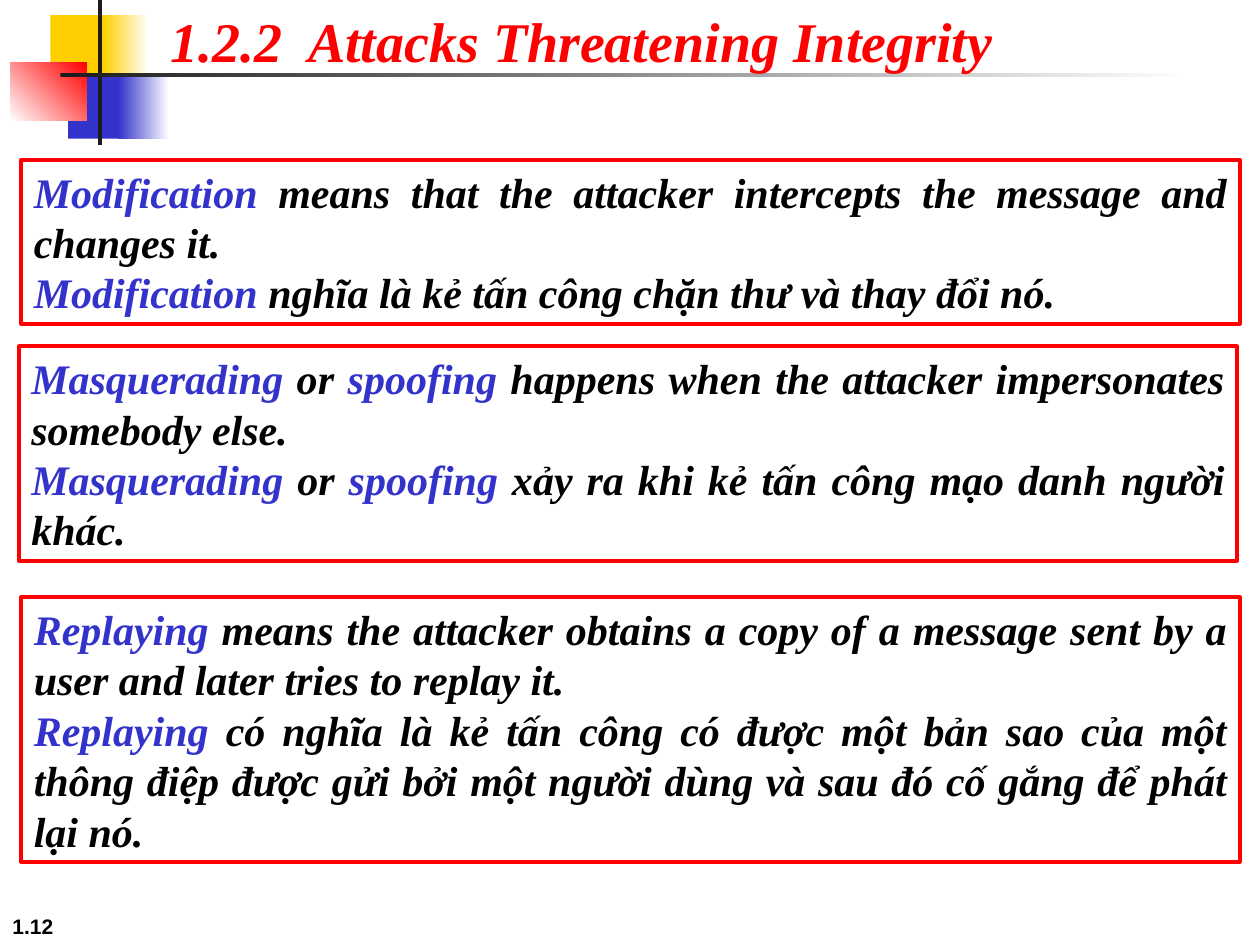
from pptx import Presentation
from pptx.dml.color import RGBColor
from pptx.enum.shapes import MSO_SHAPE
from pptx.enum.text import MSO_ANCHOR, MSO_AUTO_SIZE, PP_ALIGN
from pptx.util import Inches, Pt

RECTANGLE = MSO_SHAPE.RECTANGLE
TOP, BOTTOM = MSO_ANCHOR.TOP, MSO_ANCHOR.BOTTOM
GROW = MSO_AUTO_SIZE.SHAPE_TO_FIT_TEXT
LEFT, JUSTIFY = PP_ALIGN.LEFT, PP_ALIGN.JUSTIFY
TITLE_ONLY = 5

BLACK, WHITE, RED = "000000", "FFFFFF", "FF0000"
YELLOW, BLUE, CHARCOAL = "FFCF01", "3333CC", "1C1C1C"
SERIF, SANS = "Times New Roman", "Arial"

DECORATION = [
    ((0.4, 0.12, 0.48, 0.52), [YELLOW], 0),
    ((0.82, 0.12, 0.36, 0.52), [YELLOW, WHITE], 0),
    ((0.54, 0.58, 0.46, 0.52), [BLUE], 0),
    ((0.94, 0.58, 0.4, 0.52), [BLUE, WHITE], 0),
    ((0.08, 0.5, 0.61, 0.46), [WHITE, RED], 45),
    ((0.78, 0, 0.03, 1.15), [CHARCOAL], 0),
    ((0.48, 0.58, 9, 0.03), [CHARCOAL, WHITE], 0),
]

DEFINITIONS = [
    ((0.17, 1.27, 9.67, 1.3), [
        "*Modification* means that the attacker intercepts the message and changes it.",
        "*Modification* nghĩa là kẻ tấn công chặn thư và thay đổi nó.",
    ]),
    ((0.15, 2.75, 9.67, 1.7), [
        "*Masquerading* or *spoofing* happens when the attacker impersonates somebody else.",
        "*Masquerading* or *spoofing* xảy ra khi kẻ tấn công mạo danh người khác.",
    ]),
    ((0.17, 4.74, 9.67, 2.1), [
        "*Replaying* means the attacker obtains a copy of a message sent by a user "
        "and later tries to replay it.",
        "*Replaying* có nghĩa là kẻ tấn công có được một bản sao của một thông điệp "
        "được gửi bởi một người dùng và sau đó cố gắng để phát lại nó.",
    ]),
]


def color(value):
    return RGBColor.from_string(value)


class SlideBuilder:
    def __init__(self, page):
        self.page = page

    def style(self, para, size, font, shade=None, italic=True, align=LEFT):
        para.alignment = align
        para.font.size = Pt(size)
        para.font.name = font
        para.font.bold = True
        para.font.italic = italic
        if shade:
            para.font.color.rgb = color(shade)

    def rectangle(self, place):
        shape = self.page.shapes.add_shape(RECTANGLE, *map(Inches, place))
        shape.shadow.inherit = False
        return shape

    def block(self, place, shades, angle):
        shape = self.rectangle(place)
        shape.line.fill.background()
        if len(shades) == 1:
            shape.fill.solid()
            shape.fill.fore_color.rgb = color(shades[0])
            return
        shape.fill.gradient()
        shape.fill.gradient_angle = angle
        for stop, shade in zip(shape.fill.gradient_stops, shades):
            stop.color.rgb = color(shade)

    def title(self, place, text):
        box = self.page.shapes.title
        box.left, box.top, box.width, box.height = map(Inches, place)
        frame = box.text_frame
        frame.text = text
        frame.word_wrap = False
        frame.auto_size = GROW
        frame.vertical_anchor = TOP
        self.style(frame.paragraphs[0], 32, SERIF, RED)
        self.page.shapes._spTree.append(box._element)

    def definition(self, place, texts):
        box = self.rectangle(place)
        box.fill.background()
        box.line.color.rgb = color(RED)
        box.line.width = Pt(2.25)
        frame = box.text_frame
        frame.word_wrap = True
        frame.auto_size = GROW
        frame.vertical_anchor = TOP
        for index, text in enumerate(texts):
            para = frame.add_paragraph() if index else frame.paragraphs[0]
            self.style(para, 24, SERIF, align=JUSTIFY)
            for position, part in enumerate(text.split("*")):
                if part:
                    span = para.add_run()
                    span.text = part
                    span.font.color.rgb = color(BLUE if position % 2 else BLACK)

    def page_number(self, place, text):
        frame = self.page.shapes.add_textbox(*map(Inches, place)).text_frame
        frame.text = text
        frame.word_wrap = True
        frame.vertical_anchor = BOTTOM
        self.style(frame.paragraphs[0], 12, SANS, BLACK, italic=False)


def main():
    deck = Presentation()
    deck.slide_width, deck.slide_height = Inches(10), Inches(7.5)
    builder = SlideBuilder(deck.slides.add_slide(deck.slide_layouts[TITLE_ONLY]))
    builder.page_number((0, 7, 2.08, 0.5), "1.12")
    for place, shades, angle in DECORATION:
        builder.block(place, shades, angle)
    builder.title((1.25, 0, 6.75, 0.64), "1.2.2  Attacks Threatening Integrity")
    for place, texts in DEFINITIONS:
        builder.definition(place, texts)
    deck.save("out.pptx")


if __name__ == "__main__":
    main()
